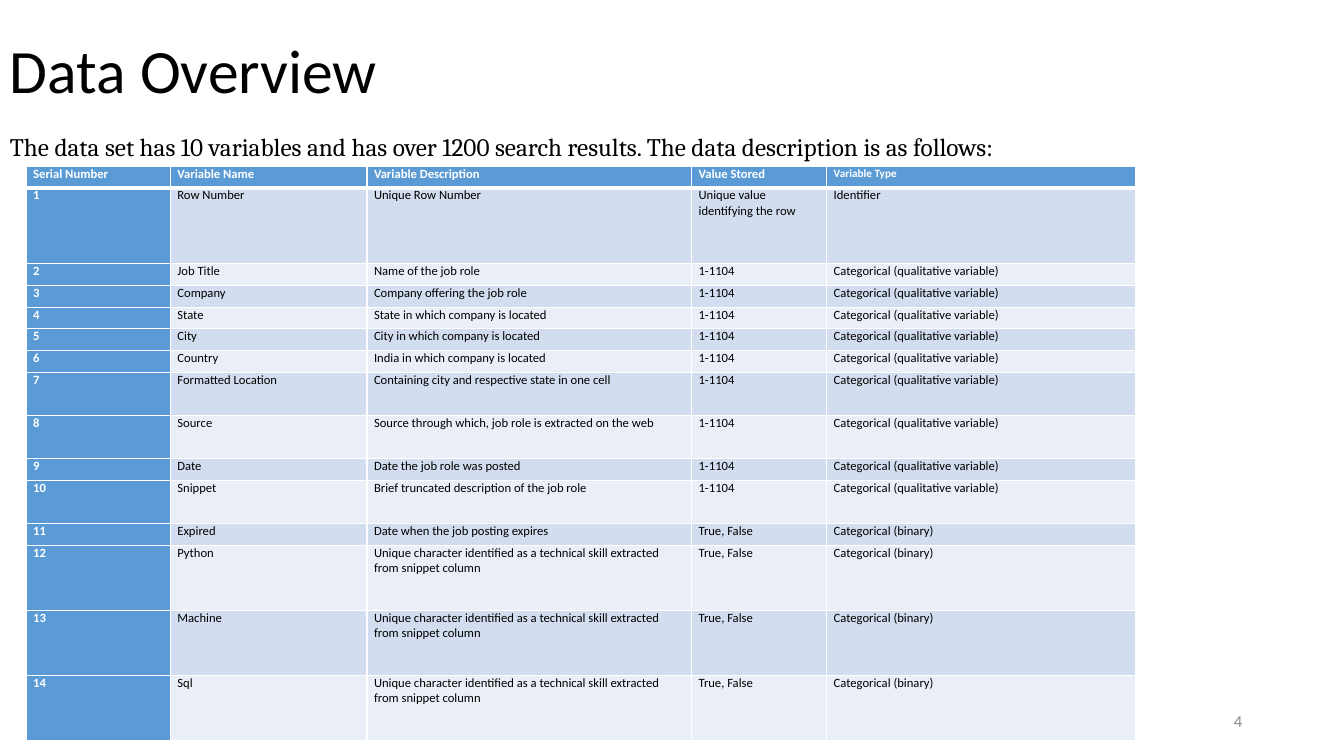
"""Build the Data Overview slide with its table of variables."""
from dataclasses import dataclass

from lxml import etree
from pptx import Presentation
from pptx import util as u
from pptx.dml.color import RGBColor
from pptx.enum import text
from pptx.oxml.ns import qn


@dataclass(frozen=True)
class Theme:
    sans: str = "Calibri"
    serif: str = "Cambria"
    black: str = "000000"
    white: str = "FFFFFF"
    grey: str = "8C8C8C"
    accent: str = "5B9BD5"
    bands: tuple = ("EAEFF7", "D2DEEF")
    title: int = 44
    body: int = 18
    number: int = 12
    cell: int = 9
    small: int = 8
    gap: int = 9
    rule: int = 1
    header_rule: int = 3


class Deck:
    def __init__(self, prs, theme):
        self.theme = theme
        self.s = prs.slides.add_slide(prs.slide_layouts[6])

    def style(self, p, size, color, face=None, bold=False, gap=None):
        p.font.name = face or self.theme.sans
        p.font.size = u.Pt(size)
        p.font.bold = bold
        p.font.color.rgb = RGBColor.from_string(color)
        if gap is not None:
            p.space_before = p.space_after = u.Pt(gap)

    def textbox(self, words, box, size, color, face=None, gap=None,
                anchor=text.MSO_ANCHOR.TOP, align=text.PP_ALIGN.LEFT,
                line=None):
        tf = self.s.shapes.add_textbox(*map(u.Inches, box)).text_frame
        tf.word_wrap = True
        tf.vertical_anchor = anchor
        p = tf.paragraphs[0]
        p.text = words
        p.alignment = align
        if line:
            p.line_spacing = line
        self.style(p, size, color, face, gap=gap)

    def borders(self, cell, widths):
        tcPr = cell._tc.get_or_add_tcPr()
        for i, (side, width) in enumerate(widths.items()):
            ln = etree.Element(qn("a:ln" + side), w=str(u.Pt(width)))
            fill = etree.SubElement(ln, qn("a:solidFill"))
            etree.SubElement(fill, qn("a:srgbClr"), val=self.theme.white)
            tcPr.insert(i, ln)

    def cell(self, cell, words, row, col, size):
        t = self.theme
        strong = row == 0 or col == 0
        cell.margin_left = cell.margin_right = u.Inches(0.07)
        cell.margin_top = cell.margin_bottom = 0
        cell.fill.solid()
        cell.fill.fore_color.rgb = RGBColor.from_string(
            t.accent if strong else t.bands[row % 2])
        p = cell.text_frame.paragraphs[0]
        p.text = words
        self.style(p, size, t.white if strong else t.black,
                   bold=strong, gap=t.gap)
        self.borders(cell, {
            "L": t.rule, "R": t.rule,
            "T": t.header_rule if row == 1 else t.rule,
            "B": t.header_rule if row == 0 else t.rule})

    def table(self, rows, box, widths, lines):
        t = self.theme
        table = self.s.shapes.add_table(
            len(rows), len(widths), *map(u.Inches, box)).table
        for column, width in zip(table.columns, widths):
            column.width = u.Inches(width)
        line_height = box[3] / sum(lines)
        for row, count in zip(table.rows, lines):
            row.height = u.Inches(count * line_height)
        last_heading = (0, len(widths) - 1)
        for r, row in enumerate(rows):
            for c, words in enumerate(row):
                size = t.small if (r, c) == last_heading else t.cell
                self.cell(table.cell(r, c), words, r, c, size)


HEADINGS = ("Serial Number", "Variable Name", "Variable Description",
            "Value Stored", "Variable Type")
QUALITATIVE = ("1-1104", "Categorical (qualitative variable)")
BINARY = ("True, False", "Categorical (binary)")
SKILL = ("Unique character identified as a technical skill extracted "
         "from snippet column")
VARIABLES = [
    (3.5, "Row Number", "Unique Row Number",
     "Unique value identifying the row", "Identifier"),
    (1, "Job Title", "Name of the job role", *QUALITATIVE),
    (1, "Company", "Company offering the job role", *QUALITATIVE),
    (1, "State", "State in which company is located", *QUALITATIVE),
    (1, "City", "City in which company is located", *QUALITATIVE),
    (1, "Country", "India in which company is located", *QUALITATIVE),
    (2, "Formatted Location",
     "Containing city and respective state in one cell", *QUALITATIVE),
    (2, "Source",
     "Source through which, job role is extracted on the web", *QUALITATIVE),
    (1, "Date", "Date the job role was posted", *QUALITATIVE),
    (2, "Snippet", "Brief truncated description of the job role",
     *QUALITATIVE),
    (1, "Expired", "Date when the job posting expires", *BINARY),
    *((3, skill, SKILL, *BINARY) for skill in ("Python", "Machine", "Sql")),
]

prs = Presentation()
prs.slide_width, prs.slide_height = u.Inches(13.33), u.Inches(7.5)
theme = Theme()
deck = Deck(prs, theme)

deck.textbox("Data Overview", (0, 0, 11.5, 1.45), theme.title, theme.black,
             anchor=text.MSO_ANCHOR.MIDDLE, line=0.9)
deck.table(
    [HEADINGS] + [(str(n), *cells)
                  for n, (_, *cells) in enumerate(VARIABLES, 1)],
    (0.26, 1.65, 11, 5.7), (1.43, 1.95, 3.22, 1.34, 3.06),
    [1] + [variable[0] for variable in VARIABLES])
deck.textbox("The data set has 10 variables and has over 1200 search results. "
             "The data description is as follows:",
             (0, 1.25, 11.83, 0.4), theme.body, theme.black, theme.serif,
             gap=theme.gap)
deck.textbox("4", (9.42, 6.95, 3, 0.4), theme.number, theme.grey,
             anchor=text.MSO_ANCHOR.MIDDLE, align=text.PP_ALIGN.RIGHT)

prs.save("out.pptx")
